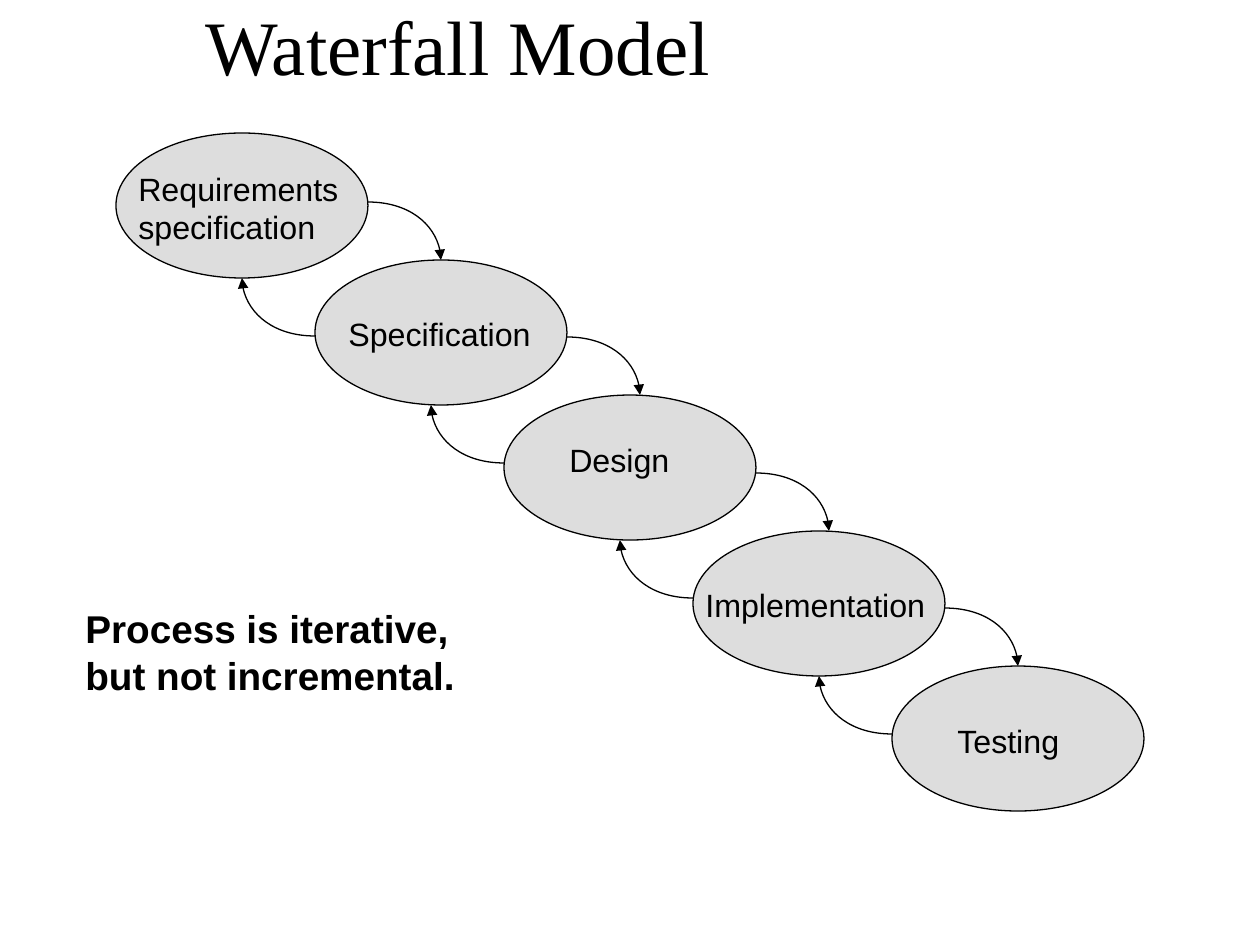
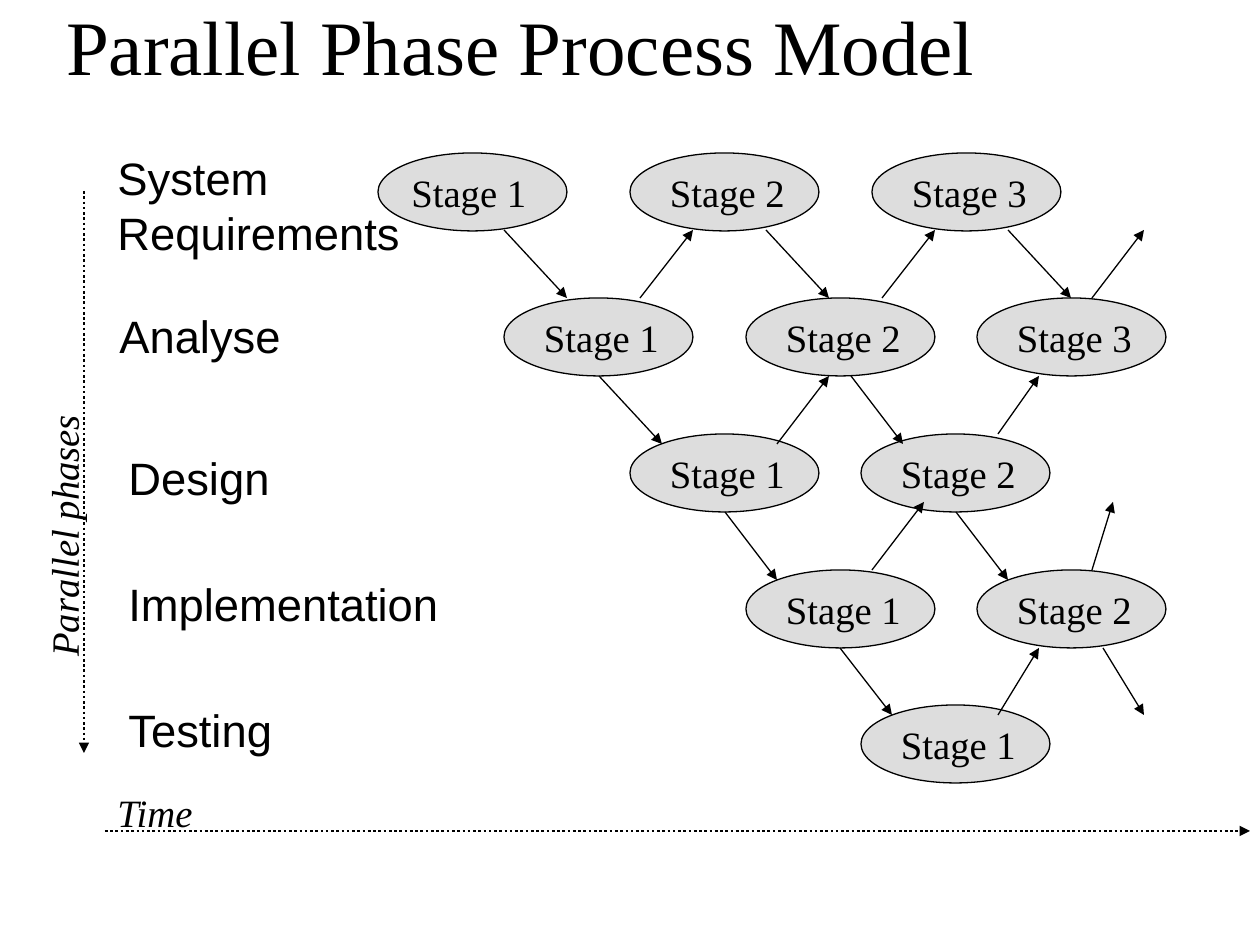
from lxml import etree
from pptx import Presentation
from pptx.dml.color import RGBColor
from pptx.enum.dml import MSO_LINE
from pptx.enum.shapes import MSO_CONNECTOR, MSO_SHAPE
from pptx.enum.text import MSO_ANCHOR, MSO_AUTO_SIZE, PP_ALIGN
from pptx.oxml.ns import qn
from pptx.util import Emu, Pt

ELLIPSE = MSO_SHAPE.OVAL
STRAIGHT = MSO_CONNECTOR.STRAIGHT
DOTTED = MSO_LINE.ROUND_DOT
TOP, MIDDLE = MSO_ANCHOR.TOP, MSO_ANCHOR.MIDDLE
LEFT, CENTER = PP_ALIGN.LEFT, PP_ALIGN.CENTER
NO_FIT = MSO_AUTO_SIZE.NONE
TITLE_ONLY = 5

PX = 914400 / 126
INK, GREY = "000000", "DDDDDD"
SANS, SERIF = "Arial", "Times New Roman"

# Text formats
TITLE = {"name": SERIF, "size": Pt(44)}
STEP = {"name": SANS, "size": Pt(18.4)}
REMARK = {"name": SANS, "size": Pt(22.1), "bold": True}
PHASE = {"name": SANS, "size": Pt(25.9)}
STAGE = {"name": SERIF, "size": Pt(22.1)}
AXIS = {"name": SERIF, "size": Pt(22.1), "italic": True}

# Waterfall: ellipse left and top, label lines, label box
STEP_WIDTH, STEP_HEIGHT = 252, 145
CURVE_WIDTH, CURVE_HEIGHT = 73, 58
STEPS = [
    (116, 133, ["Requirements", "specification"], (126, 163, 228, 91)),
    (315, 260, ["Specification"], (336, 308, 210, 52)),
    (504, 395, ["Design"], (557, 434, 127, 52)),
    (693, 531, ["Implementation"], (693, 579, 248, 52)),
    (892, 666, ["Testing"], (945, 715, 129, 52)),
]

# Parallel phases: label lines, label box, row top, left of each stage
STAGE_WIDTH, STAGE_HEIGHT = 189, 78
PHASES = [
    (["System", "Requirements"], (105, 152, 473, 106), 153, [378, 630, 872]),
    (["Analyse"], (107, 302, 188, 68), 298, [504, 746, 977]),
    (["Design"], (116, 444, 168, 68), 434, [630, 861]),
    (["Implementation"], (116, 570, 338, 68), 570, [746, 977]),
    (["Testing"], (116, 696, 170, 68), 705, [861]),
]
# Start height, end height, start and end x of each arrow
STAGE_ARROWS = [
    (230, 298, [(504, 567), (766, 829), (1008, 1071)]),
    (298, 230, [(640, 693), (882, 935), (1092, 1144)]),
    (376, 444, [(599, 662), (851, 903)]),
    (444, 376, [(777, 829)]),
    (434, 376, [(998, 1039)]),
    (512, 580, [(725, 777), (956, 1008)]),
    (570, 502, [(872, 924), (1092, 1113)]),
    (648, 715, [(840, 892), (1103, 1144)]),
    (715, 648, [(998, 1039)]),
]


def px(*lengths):
    return [Emu(round(length * PX)) for length in lengths]


def color(value):
    return RGBColor.from_string(value)


def write(shape, lines, font_format, align=LEFT, anchor=TOP, wrap=False):
    frame = shape.text_frame
    frame_format = {"auto_size": NO_FIT, "word_wrap": wrap, "vertical_anchor": anchor}
    for name, value in frame_format.items():
        setattr(frame, name, value)
    for number, line in enumerate(lines):
        para = frame.add_paragraph() if number else frame.paragraphs[0]
        para.alignment = align
        span = para.add_run()
        span.text = line
        for name, value in font_format.items():
            setattr(span.font, name, value)
        span.font.color.rgb = color(INK)


def add_label(page, box, lines, font_format, anchor=TOP):
    label = page.shapes.add_textbox(*px(*box))
    write(label, lines, font_format, anchor=anchor)
    return label


def add_ellipse(page, box):
    ellipse = page.shapes.add_shape(ELLIPSE, *px(*box))
    ellipse.shadow.inherit = False
    ellipse.fill.solid()
    ellipse.fill.fore_color.rgb = color(GREY)
    draw_line(ellipse)
    return ellipse


def draw_line(shape, width=0.75):
    shape.line.color.rgb = color(INK)
    shape.line.width = Pt(width)


def add_arrowhead(shape):
    outline = shape._element.spPr.get_or_add_ln()
    etree.SubElement(outline, qn("a:tailEnd"), type="triangle")


def add_arrow(page, start, end, width=0.75, dash=None):
    arrow = page.shapes.add_connector(STRAIGHT, *px(*start, *end))
    draw_line(arrow, width)
    if dash:
        arrow.line.dash_style = dash
    add_arrowhead(arrow)
    etree.SubElement(arrow._element.spPr, qn("a:effectLst"))


def add_curve(page, start, end):
    """Quarter ellipse that leaves level and arrives upright."""
    (x1, y1), (x2, y2) = start, end
    points = [(x1 + 0.55 * (x2 - x1), y1), (x2, y2 - 0.55 * (y2 - y1)), end]
    builder = page.shapes.build_freeform(*px(*start))
    builder.add_line_segments([px(*point) for point in points], close=False)
    curve = builder.convert_to_shape()
    # Turn the three line points into one Bezier segment
    segments = list(curve._element.iter(qn("a:lnTo")))
    bezier = etree.SubElement(segments[0].getparent(), qn("a:cubicBezTo"))
    for segment in segments:
        bezier.append(segment[0])
        segment.getparent().remove(segment)
    curve.shadow.inherit = False
    curve.fill.background()
    draw_line(curve)
    add_arrowhead(curve)


def add_page(deck, title, box):
    page = deck.slides.add_slide(deck.slide_layouts[TITLE_ONLY])
    heading = page.shapes.title
    heading.left, heading.top, heading.width, heading.height = px(*box)
    write(heading, [title], TITLE, CENTER, MIDDLE, wrap=True)
    return page


def build_waterfall(deck):
    page = add_page(deck, "Waterfall Model", (113, 16, 690, 58))
    for left, top, lines, label_box in STEPS:
        add_ellipse(page, (left, top, STEP_WIDTH, STEP_HEIGHT))
        add_label(page, label_box, lines, STEP)
    # Forward and backward curves between neighbouring steps
    for (left, top, *_), (next_left, next_top, *_) in zip(STEPS, STEPS[1:]):
        right, bottom = left + STEP_WIDTH, top + STEP_HEIGHT
        add_curve(page, (right, next_top - CURVE_HEIGHT), (right + CURVE_WIDTH, next_top))
        add_curve(page, (next_left, bottom + CURVE_HEIGHT), (next_left - CURVE_WIDTH, bottom))
    remark = ["Process is iterative,", "but not incremental."]
    add_label(page, (73, 599, 399, 107), remark, REMARK)


def add_phase(page, lines, label_box, top, lefts):
    anchor = MIDDLE if len(lines) > 1 else TOP
    add_label(page, label_box, lines, PHASE, anchor)
    for number, left in enumerate(lefts, 1):
        ellipse = add_ellipse(page, (left, top, STAGE_WIDTH, STAGE_HEIGHT))
        name = [f"Stage {number}"]
        if (left, top) == (378, 153):  # the first label sits left of centre
            add_label(page, (left + 21, top + 10, 142, 59), name, STAGE)
        else:
            write(ellipse, name, STAGE, anchor=MIDDLE)


def add_axes(page):
    add_arrow(page, (84, 191), (84, 753), 1.5, DOTTED)
    add_arrow(page, (105, 831), (1250, 831), 1.5, DOTTED)
    add_label(page, (105, 783, 102, 59), ["Time"], AXIS)
    add_label(page, (-72, 504, 271, 59), ["Parallel phases"], AXIS).rotation = 270


def build_parallel_phases(deck):
    page = add_page(deck, "Parallel Phase Process Model", (15, 16, 1012, 58))
    add_axes(page)
    for phase in PHASES:
        add_phase(page, *phase)
    for start_y, end_y, spans in STAGE_ARROWS:
        for start_x, end_x in spans:
            add_arrow(page, (start_x, start_y), (end_x, end_y))


def main():
    deck = Presentation()
    deck.slide_width, deck.slide_height = px(1260, 945)
    build_waterfall(deck)
    build_parallel_phases(deck)
    deck.save("out.pptx")


if __name__ == "__main__":
    main()
